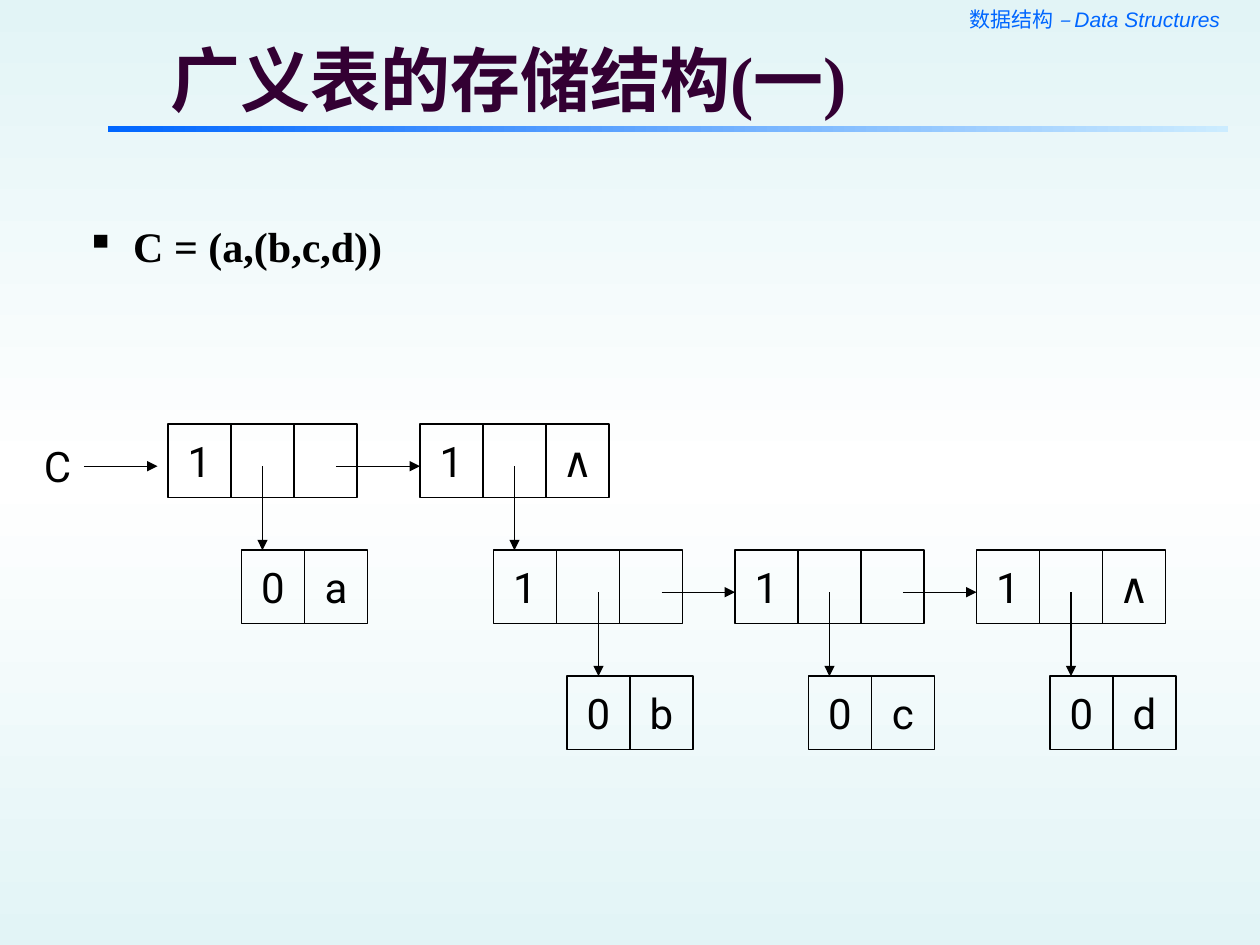
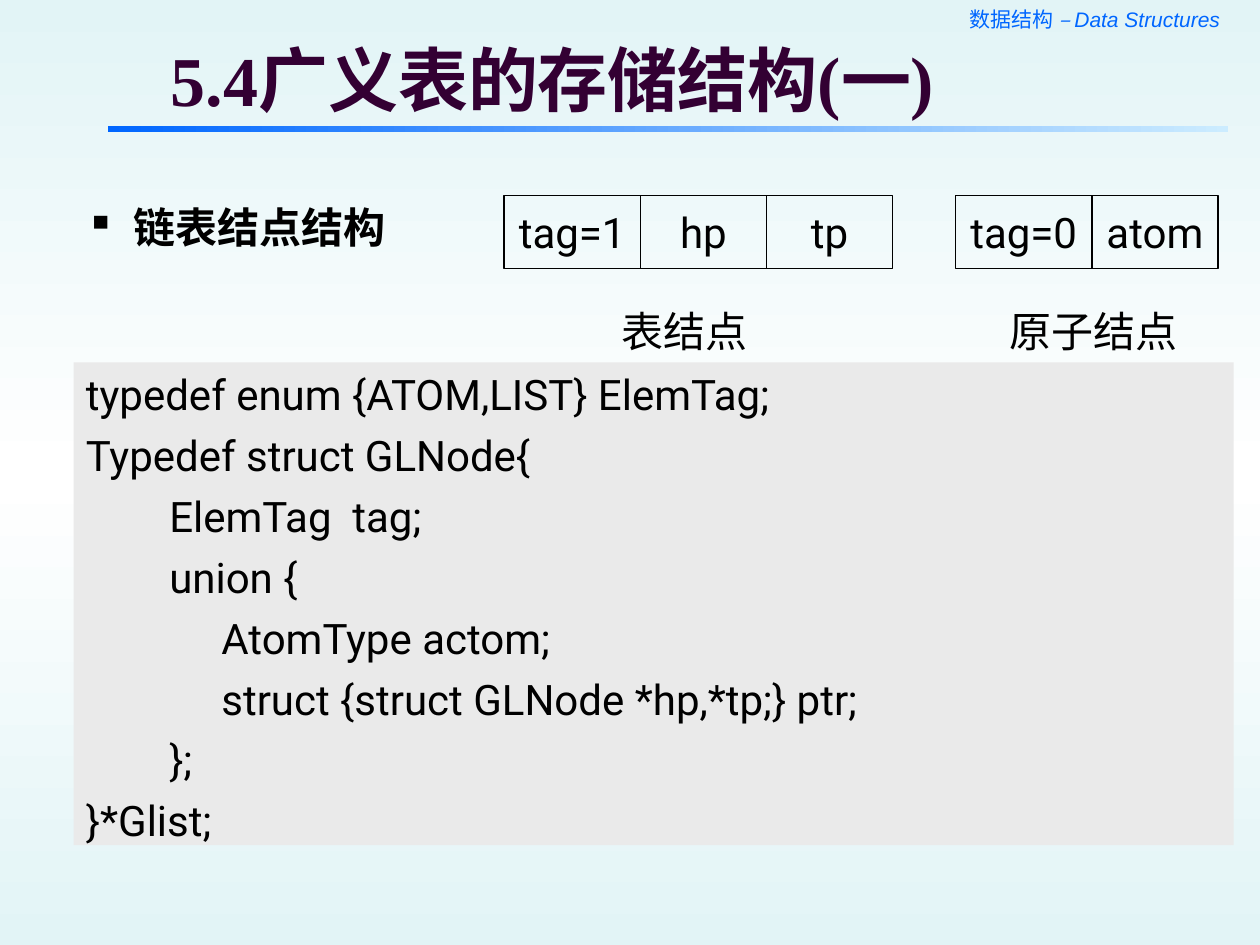
import copy

import pptx
import pptx.dml.color
import pptx.enum.shapes
import pptx.enum.text
import pptx.util
from lxml import etree
from pptx.oxml.ns import qn

PX = pptx.util.Inches(1) // 120  # the slide is 1200 x 900 px
rgb = pptx.dml.color.RGBColor.from_string
ALIGN = pptx.enum.text.PP_ALIGN
ANCHOR = pptx.enum.text.MSO_ANCHOR
RECT = pptx.enum.shapes.MSO_SHAPE.RECTANGLE
STRAIGHT = pptx.enum.shapes.MSO_CONNECTOR.STRAIGHT

BLACK, BLUE, PALE_BLUE = "000000", "0066FF", "CCECFF"
PURPLE, GREY = "330033", "EAEAEA"
EDGE, MIDDLE = "E2F4F6", "FFFFFF"
SERIF, SANS = "Times New Roman", "Roboto"
CELL_W, CELL_H = 60, 70


def add_box(s, x, y, w, h, text, font=SANS, size=24, color=BLACK, bold=False,
            cell=False, fill=None, middle=False):
    """Add a text box, or a rectangle when it is a cell or has a fill."""
    at = x * PX, y * PX, w * PX, h * PX
    if cell or fill:
        sp = s.shapes.add_shape(RECT, *at)
        sp.shadow.inherit = False
        sp.fill.background()
        sp.line.fill.background()
    else:
        sp = s.shapes.add_textbox(*at)
    if cell:
        sp.line.color.rgb = rgb(BLACK)
        sp.line.width = pptx.util.Pt(0.75)
    if fill:
        sp.fill.solid()
        sp.fill.fore_color.rgb = rgb(fill)
    tf = sp.text_frame
    tf.word_wrap = not cell
    tf.vertical_anchor = ANCHOR.MIDDLE if cell or middle else ANCHOR.TOP
    tf.text = text
    for p in tf.paragraphs:
        p.alignment = ALIGN.CENTER if cell else ALIGN.LEFT
        for r in p.runs:
            r.font.name = font
            r.font.size = pptx.util.Pt(size)
            r.font.bold = bold
            r.font.color.rgb = rgb(color)
    return sp


def add_arrow(s, x1, y1, x2, y2):
    c = s.shapes.add_connector(STRAIGHT, x1 * PX, y1 * PX, x2 * PX, y2 * PX)
    c.line.color.rgb = rgb(BLACK)
    c.line.width = pptx.util.Pt(0.75)
    etree.SubElement(c.line._get_or_add_ln(), qn("a:tailEnd"), type="triangle")
    etree.SubElement(c._element.spPr, qn("a:effectLst"))
    return c


prs = pptx.Presentation()
prs.slide_width, prs.slide_height = 1200 * PX, 900 * PX

# Background on the master: a vertical gradient with three stops
fill = prs.slide_master.background.fill
fill.gradient()
fill.gradient_angle = 90
stops = next(prs.slide_master.element.iter(qn("a:gsLst")))
stops.insert(1, copy.deepcopy(stops[0]))
for stop, color, pos in zip(fill.gradient_stops, (EDGE, MIDDLE, EDGE), (0, 0.5, 1)):
    stop.color.rgb = rgb(color)
    stop.position = pos

# Header, rule, title and bullet of each slide
slides = []
for title, bullet, bullet_y in (
    ("广义表的存储结构(一)", "C = (a,(b,c,d))", 204),
    ("5.4广义表的存储结构(一)", "链表结点结构", 186),
):
    s = prs.slides.add_slide(prs.slide_layouts[6])
    slides.append(s)

    sp = add_box(s, 720, 0, 454, 36, "数据结构 ", SERIF, 12, BLUE)
    p = sp.text_frame.paragraphs[0]
    p.alignment = ALIGN.RIGHT
    r = p.add_run()
    r.text = "– Data Structures"
    r.font.name, r.font.size, r.font.italic = "Arial", pptx.util.Pt(12), True
    r.font.color.rgb = rgb(BLUE)

    sp = add_box(s, 103, 120, 1067, 6, "", fill=BLUE)
    sp.fill.gradient()
    sp.fill.gradient_angle = 0
    for stop, color, pos in zip(sp.fill.gradient_stops, (BLUE, PALE_BLUE), (0, 1)):
        stop.color.rgb = rgb(color)
        stop.position = pos

    add_box(s, 151, 35, 989, 80, title, SERIF, 40, PURPLE, bold=True, middle=True)

    sp = add_box(s, 70, bullet_y, 1105, 90, bullet, SERIF, bold=True)
    pPr = sp.text_frame.paragraphs[0]._p.get_or_add_pPr()
    pPr.set("marL", str(45 * PX))
    pPr.set("indent", str(-45 * PX))
    etree.SubElement(etree.SubElement(pPr, qn("a:buClr")), qn("a:srgbClr"), val=BLACK)
    etree.SubElement(pPr, qn("a:buSzPct"), val="95000")
    etree.SubElement(pPr, qn("a:buChar"), char="▪")

# Slide 1: nodes of the linked list, three rows
s = slides[0]
row_y = [404, 524, 644]
nodes = [  # name, left, row, cells
    ("C1", 160, 0, ("1", "", "")),
    ("C2", 400, 0, ("1", "", "∧")),
    ("a", 230, 1, ("0", "a")),
    ("L1", 470, 1, ("1", "", "")),
    ("L2", 700, 1, ("1", "", "")),
    ("L3", 930, 1, ("1", "", "∧")),
    ("b", 540, 2, ("0", "b")),
    ("c", 770, 2, ("0", "c")),
    ("d", 1000, 2, ("0", "d")),
]
first_cell, corner = {}, {}
for name, x, row, labels in nodes:
    cells = [add_box(s, x + i * CELL_W, row_y[row], CELL_W, CELL_H, label, cell=True)
             for i, label in enumerate(labels)]
    first_cell[name] = cells[0]
    corner[name] = x, row_y[row]

# Pointers: head of the list, next nodes, child nodes
add_box(s, 30, 414, 50, 60, "C")
add_arrow(s, 80, 444, 150, 444)
for left, right in (("C1", "C2"), ("L1", "L2"), ("L2", "L3")):
    x, y = corner[left]
    add_arrow(s, x + 160, y + 40, corner[right][0], y + 40)
for parent, child in (("C1", "a"), ("C2", "L1"), ("L1", "b"), ("L2", "c"), ("L3", "d")):
    x, y = corner[child]
    tip = x + (30 if child == "b" else 20)
    c = add_arrow(s, tip, corner[parent][1] + 40, tip, y)
    if tip == x + CELL_W // 2:
        c.end_connect(first_cell[child], 0)

# Slide 2: the two node layouts with their captions
s = slides[1]
for x, fields, caption, caption_x, caption_w in (
    (480, ("tag=1", "hp", "tp"), "表结点", 580, 150),
    (910, ("tag=0", "atom"), "原子结点", 950, 190),
):
    for i, field in enumerate(fields):
        w = 120 if i else 130
        add_box(s, x, 186, w, CELL_H, field, cell=True)
        x += w
    add_box(s, caption_x, 285, caption_w, 60, caption)

# Type definition
code = """typedef enum {ATOM,LIST} ElemTag;
Typedef struct GLNode{
        ElemTag  tag;
        union {
             AtomType actom;
             struct {struct GLNode *hp,*tp;} ptr;
        };
}*Glist;"""
sp = add_box(s, 70, 345, 1105, 460, code, fill=GREY)
for p in sp.text_frame.paragraphs[1:]:
    p.space_before = pptx.util.Pt(6)

prs.save("out.pptx")
